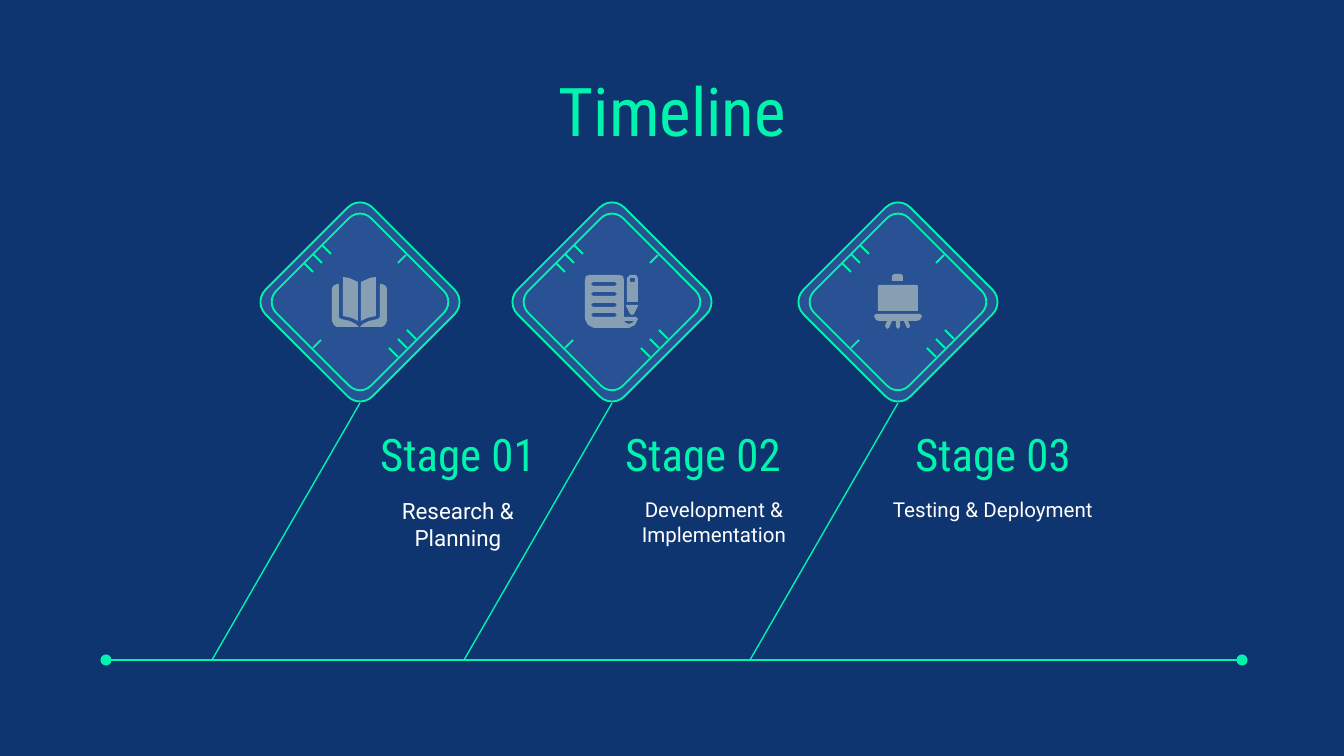
from lxml import etree
from pptx import Presentation
from pptx.dml.color import RGBColor
from pptx.enum.shapes import MSO_CONNECTOR, MSO_SHAPE
from pptx.enum.text import MSO_ANCHOR, PP_ALIGN
from pptx.oxml.ns import qn
from pptx.util import Pt

PX = 914400 / 134.4
NAVY = RGBColor(0x0F, 0x35, 0x70)
BLUE = RGBColor(0x28, 0x52, 0x93)
MINT = RGBColor(0x00, 0xF4, 0xAD)
GREY = RGBColor(0x86, 0x9F, 0xB2)
WHITE = RGBColor(0xFF, 0xFF, 0xFF)
HEAD_FONT, BODY_FONT = "Roboto Condensed", "Roboto"
STRAIGHT = MSO_CONNECTOR.STRAIGHT
ROUNDED = MSO_SHAPE.ROUNDED_RECTANGLE
CENTER, TOP = PP_ALIGN.CENTER, MSO_ANCHOR.TOP

DIAMOND = 204  # width and height of the box around a diamond


def mirror(points):
    return [(DIAMOND - 1 - x, y) for x, y in points]


def slot(y):
    return [(83, y), (105, y), (107, y + 2), (105, y + 4), (83, y + 4), (81, y + 2)]


# An icon is a list of outlines; an outline is a list of contours,
# the first one solid and the others holes.
PAGE = [(85, 77), (91, 78), (100, 82), (100, 121), (94, 118), (85, 116)]
COVER = [(79, 84), (75, 86), (74, 89), (74, 121), (76, 125), (79, 127), (101, 127),
         (98, 124), (92, 121), (83, 119), (81, 117), (81, 84)]
BOOK = [[COVER], [mirror(COVER)], [PAGE], [mirror(PAGE)]]

SHEET = [(80, 75), (76, 76), (75, 80), (75, 119), (78, 125), (84, 128), (119, 128),
         (125, 125), (128, 119), (126, 117), (114, 117), (114, 80), (113, 76), (109, 75)]
CURL = [(124, 121), (122, 123), (119, 124), (116, 123), (114, 121)]
PENCIL = [(120, 75), (126, 75), (128, 78), (128, 102), (117, 102), (117, 78)]
PENCIL_HOLE = [(120, 78), (125, 78), (125, 82), (120, 82)]
PENCIL_TIP = [(116, 105), (128, 105), (128, 106), (124, 114), (122, 115),
              (120, 114), (116, 106)]
DOCUMENT = [[SHEET, CURL] + [slot(y) for y in (82, 92, 103, 113)],
            [PENCIL_TIP], [PENCIL, PENCIL_HOLE]]

BOARD = [(83, 85), (121, 85), (122, 86), (122, 111), (82, 111), (82, 86)]
TRAY = [(80, 114), (78, 116), (80, 120), (83, 121), (91, 121), (89, 126), (91, 129),
        (93, 128), (96, 121), (100, 121), (100, 127), (102, 129), (104, 127),
        (104, 121), (108, 121), (111, 128), (113, 128), (114, 126), (112, 121),
        (120, 121), (124, 120), (126, 116), (124, 114)]
CLIP = [(98, 74), (105, 74), (107, 76), (107, 81), (96, 81), (96, 76)]
EASEL = [[BOARD], [TRAY], [CLIP]]


def px(n):
    return round(n * PX)


def add_text(slide, text, x, y, w, h, *, size, font, color):
    box = slide.shapes.add_textbox(px(x), px(y), px(w), px(h))
    tf = box.text_frame
    tf.word_wrap = True
    tf.vertical_anchor = TOP
    tf.margin_left = tf.margin_right = tf.margin_top = tf.margin_bottom = 0
    p = tf.paragraphs[0]
    p.alignment = CENTER
    r = p.add_run()
    r.text = text
    r.font.size, r.font.name = Pt(size), font
    r.font.color.rgb = color


def add_line(slide, x1, y1, x2, y2, *, width=0.75, dots=False):
    line = slide.shapes.add_connector(STRAIGHT, px(x1), px(y1), px(x2), px(y2))
    line.line.color.rgb = MINT
    line.line.width = Pt(width)
    if dots:
        ln = line.line._get_or_add_ln()
        for end in ("a:headEnd", "a:tailEnd"):
            etree.SubElement(ln, qn(end), type="oval")
    etree.SubElement(line._element.spPr, qn("a:effectLst"))


def add_tile(slide, cx, cy, side, *, fill=None):
    """Rounded square on its corner: filled, or only outlined without a fill."""
    sp = slide.shapes.add_shape(ROUNDED, px(cx - side / 2), px(cy - side / 2),
                                px(side), px(side))
    sp.adjustments[0] = 0.115
    sp.rotation = 45
    sp.shadow.inherit = False
    if fill is None:
        sp.fill.background()
        sp.line.color.rgb = MINT
        sp.line.width = Pt(1)
    else:
        sp.fill.solid()
        sp.fill.fore_color.rgb = fill
        sp.line.fill.background()


def add_icon(slide, x, y, outlines):
    for contours in outlines:
        placed = [[(x + dx, y + dy) for dx, dy in c] for c in contours]
        builder = slide.shapes.build_freeform(*placed[0][0], scale=PX)
        builder.add_line_segments(placed[0][1:])
        for hole in placed[1:]:
            builder.move_to(*hole[0])
            builder.add_line_segments(hole[1:])
        sp = builder.convert_to_shape()
        sp.shadow.inherit = False
        sp.fill.solid()
        sp.fill.fore_color.rgb = GREY
        sp.line.fill.background()


def add_diamond(slide, x, y, icon):
    cx, cy = x + DIAMOND / 2, y + DIAMOND / 2
    add_tile(slide, cx, cy, 151, fill=BLUE)
    add_tile(slide, cx, cy, 151)
    add_tile(slide, cx, cy, 134)
    ticks = [(148, 55, 140, 63), (63, 140, 55, 148)]
    for step in range(0, 27, 9):
        for left, top in ((46, 63), (131, 148)):
            ticks.append((left + step, top - step, left + step + 9, top - step + 9))
    for x1, y1, x2, y2 in ticks:
        add_line(slide, x + x1, y + y1, x + x2, y + y2, width=1)
    add_icon(slide, x, y, icon)


def add_stage(slide, x, y, *, icon, heading, detail, heading_dx, detail_dx, size):
    """Diamond at (x, y), its stem down to the axis, and its two texts."""
    add_diamond(slide, x, y, icon)
    add_line(slide, x + 102, y + 203, x - 46, y + 460)
    add_text(slide, heading, x + heading_dx, y + 227, 204, 50,
             size=24, font=HEAD_FONT, color=MINT)
    add_text(slide, detail, x + detail_dx, y + 297, 204, 120,
             size=size, font=BODY_FONT, color=WHITE)


def main():
    prs = Presentation()
    prs.slide_width, prs.slide_height = px(1344), px(756)
    slide = prs.slides.add_slide(prs.slide_layouts[6])
    slide.background.fill.solid()
    slide.background.fill.fore_color.rgb = NAVY

    add_text(slide, "Timeline", 106, 69, 1133, 71,
             size=36, font=HEAD_FONT, color=MINT)
    add_line(slide, 106, 660, 1242, 660, dots=True)
    add_stage(slide, 258, 200, icon=BOOK, heading="Stage 01",
              detail="Research & Planning", heading_dx=98, detail_dx=98, size=12)
    add_stage(slide, 510, 200, icon=DOCUMENT, heading="Stage 02",
              detail="Development & Implementation", heading_dx=91, detail_dx=102, size=11)
    add_stage(slide, 796, 200, icon=EASEL, heading="Stage 03",
              detail="Testing & Deployment", heading_dx=95, detail_dx=95, size=11)
    prs.save("out.pptx")


if __name__ == "__main__":
    main()
